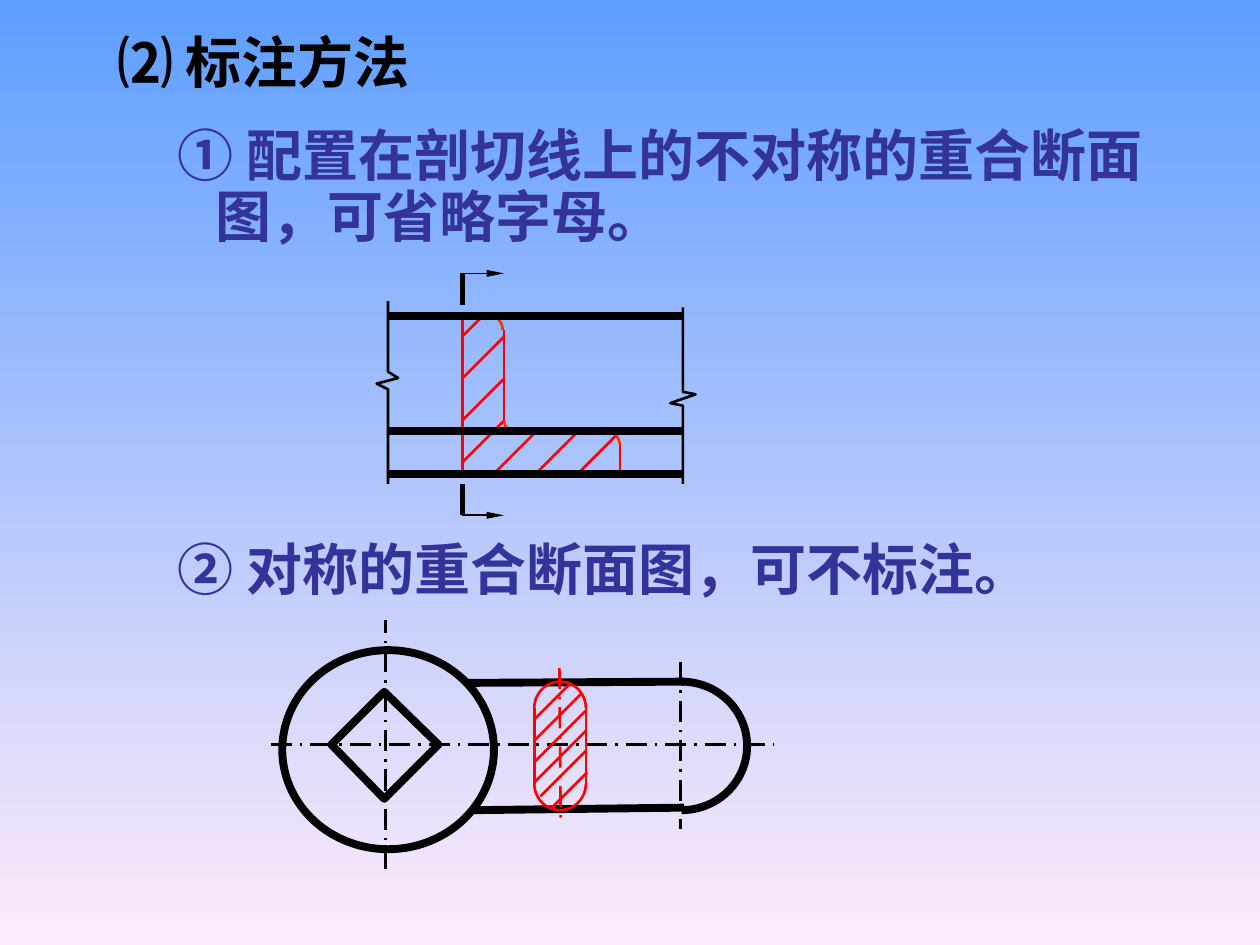
from lxml.etree import SubElement
from pptx import Presentation
from pptx.dml.color import RGBColor
from pptx.enum.dml import MSO_LINE
from pptx.enum.shapes import MSO_CONNECTOR, MSO_SHAPE
from pptx.enum.text import MSO_ANCHOR, MSO_AUTO_SIZE, PP_ALIGN
from pptx.oxml.ns import qn
from pptx.util import Inches, Pt

COLORS = {"black": "000000", "text": "333399", "section": "FF0000",
          "corner": "FF3300", "sky": "5E9EFF", "blush": "FFEBFA"}
FONT = "Noto Sans CJK SC"
COLS, ROWS = 100, 75
THIN, MEDIUM, CUT, THICK = 1, 1.5, 3, 4.5


class Sheet:
    def __init__(self, prs):
        self.s = prs.slides.add_slide(prs.slide_layouts[3])
        self.col = prs.slide_width / COLS
        self.row = prs.slide_height / ROWS

    def x(self, n):
        return round(n * self.col)

    def y(self, n):
        return round(n * self.row)

    def color(self, name):
        return RGBColor.from_string(COLORS[name])

    def background(self, top, bottom):
        fill = self.s.background.fill
        fill.gradient()
        fill.gradient_angle = 270
        for stop, name, position in zip(fill.gradient_stops, (top, bottom), (0, 1)):
            stop.color.rgb = self.color(name)
            stop.position = position

    def text(self, index, box, text, color, anchor, spacing=1.0, hang=0):
        sp = self.s.placeholders[index]
        left, top, width, height = box
        place = {"left": self.x(left), "top": self.y(top),
                 "width": self.x(width), "height": self.y(height)}
        for key, value in place.items():
            setattr(sp, key, value)
        tf = sp.text_frame
        frame = {"word_wrap": True, "auto_size": MSO_AUTO_SIZE.NONE,
                 "vertical_anchor": anchor, "margin_right": 0}
        for key, value in frame.items():
            setattr(tf, key, value)
        p = tf.paragraphs[0]
        p.text = text
        layout = {"alignment": PP_ALIGN.LEFT, "line_spacing": spacing,
                  "space_before": Pt(0), "space_after": Pt(0)}
        for key, value in layout.items():
            setattr(p, key, value)
        pPr = p._p.get_or_add_pPr()
        pPr.set("marL", str(self.x(hang)))
        pPr.set("indent", str(-self.x(hang)))
        SubElement(pPr, qn("a:buNone"))
        for r in p.runs:
            for key, value in {"size": Pt(32), "bold": True, "name": FONT}.items():
                setattr(r.font, key, value)
            r.font.color.rgb = self.color(color)
            SubElement(r._r.get_or_add_rPr(), qn("a:ea")).set("typeface", FONT)

    def stroke(self, sp, weight, color, dash=None):
        sp.line.color.rgb = self.color(color)
        for key, value in {"width": Pt(weight), "dash_style": dash}.items():
            setattr(sp.line, key, value)

    def line(self, start, end, weight=MEDIUM, color="black", dash=None, arrow=False):
        sp = self.s.shapes.add_connector(
            MSO_CONNECTOR.STRAIGHT, self.x(start[0]), self.y(start[1]),
            self.x(end[0]), self.y(end[1]))
        self.stroke(sp, weight, color, dash)
        if arrow:
            tail = SubElement(sp.line._get_or_add_ln(), qn("a:tailEnd"))
            for key, value in {"type": "triangle", "w": "sm", "len": "lg"}.items():
                tail.set(key, value)
        SubElement(sp._element.spPr, qn("a:effectLst"))

    def center_line(self, start, end, color="black"):
        self.line(start, end, MEDIUM, color, MSO_LINE.LONG_DASH_DOT)

    def outline(self, points, weight=MEDIUM, color="black", close=False):
        spots = [(self.x(a), self.y(b)) for a, b in points]
        builder = self.s.shapes.build_freeform(*spots[0], scale=1.0)
        builder.add_line_segments(spots[1:], close=close)
        sp = builder.convert_to_shape()
        sp.shadow.inherit = False
        sp.fill.background()
        self.stroke(sp, weight, color)

    def curve(self, center, radii, weight, color="black", sweep=None):
        kind = MSO_SHAPE.ARC if sweep else MSO_SHAPE.OVAL
        (cx, cy), (rx, ry) = center, radii
        sp = self.s.shapes.add_shape(kind, self.x(cx - rx), self.y(cy - ry),
                                     self.x(2 * rx), self.y(2 * ry))
        for i, angle in enumerate(sweep or ()):
            sp.adjustments[i] = angle * 0.6
        sp.shadow.inherit = False
        sp.fill.background()
        self.stroke(sp, weight, color)


def draw_angle_section(sheet):
    left, web, right, pitch = 36.7, 40, 49.2, 3.33
    top, flange, bottom = 25.1, 34.2, 37.6
    for i in range(4):
        y = 26.7 + i * pitch
        run = min(pitch, y - top)
        sheet.line((left, y), (left + run, y - run), color="section")
    for i in range(3):
        x = 39.2 + i * pitch
        run = bottom - flange
        sheet.line((x, bottom), (x + run, flange), color="section")
    for start, end in [((left, top), (left, bottom)), ((web, 26.2), (web, 33.5)),
                       ((right, 35.2), (right, bottom)), ((left, top), (39.1, top)),
                       ((41, 34.3), (48.4, 34.3)), ((left, bottom), (right, bottom))]:
        sheet.line(start, end, color="section")
    for center, radii, sweep in [((39, 26.2), (0.9, 1.1), (270, 0)),
                                 ((40.9, 33.4), (0.9, 0.8), (90, 180)),
                                 ((48.2, 35.3), (1, 1), (270, 0))]:
        sheet.curve(center, radii, MEDIUM, "corner", sweep)
    for outer, inner in [(21.7, 24.2), (40.9, 38.4)]:
        sheet.line((left, inner), (left, outer), CUT)
        sheet.line((left, outer), (web, outer), THIN, arrow=True)
    for y in (top, flange, bottom):
        sheet.line((30.9, y), (54.2, y), THICK)
    sheet.outline([(30.8, 23.9), (30.8, 29.5), (31.6, 30), (29.9, 30.45),
                   (30.8, 30.9), (30.8, 38.4)])
    sheet.outline([(54.2, 24.4), (54.2, 31.1), (55.2, 31.3), (53.2, 32),
                   (54.2, 32.2), (54.2, 38.4)])


def draw_lever(sheet):
    sheet.line((54.3, 54.1), (37, 54.2), THICK)
    sheet.line((54.3, 64.1), (37.6, 64.3), THICK)
    sheet.curve((30.8, 59.5), (8.4, 7.9), THICK)
    sheet.outline([(26.3, 59.1), (30.5, 54.9), (34.8, 59.1), (30.5, 63.4)],
                  THICK, close=True)
    sheet.center_line((21.5, 59.1), (61.4, 59.1))
    sheet.curve((54.1, 59.2), (5.2, 5.1), THICK, sweep=(270, 90))
    sheet.center_line((54, 52.5), (54, 65.8))
    sheet.center_line((30.6, 69), (30.6, 49.2))


def draw_capsule_section(sheet):
    left, right = 42.4, 46.5
    sheet.center_line((44.4, 53), (44.5, 65.3), "section")
    for x, y, run in [(left, 57.1, 2.8), (left, 58.8, 3.8), (left, 60.5, 4.1),
                      (left, 62.1, 4.1), (42.9, 63.2, 3.6), (43.8, 64.1, 2.8)]:
        sheet.line((x, y), (x + run, y - run), color="section")
    for x in (left, right):
        sheet.line((x, 56.2), (x, 62.3), color="section")
    for y, sweep in [(56.2, (180, 0)), (62.2, (0, 180))]:
        sheet.curve(((left + right) / 2, y), (2.05, 2.1), MEDIUM, "section", sweep)


def main():
    prs = Presentation()
    prs.slide_width, prs.slide_height = Inches(10), Inches(7.5)
    sheet = Sheet(prs)
    sheet.background("sky", "blush")
    sheet.text(0, (8.3, 1.7, 25.2, 6.4), "⑵ 标注方法", "black", MSO_ANCHOR.TOP)
    sheet.text(1, (13.1, 9.7, 78.6, 10.6),
               "① 配置在剖切线上的不对称的重合断面\v图，可省略字母。",
               "text", MSO_ANCHOR.MIDDLE, 0.9, 3)
    sheet.text(2, (13.1, 41.9, 69.7, 6.4), "② 对称的重合断面图，可不标注。",
               "text", MSO_ANCHOR.MIDDLE)
    draw_angle_section(sheet)
    draw_lever(sheet)
    draw_capsule_section(sheet)
    prs.save("out.pptx")


if __name__ == "__main__":
    main()
